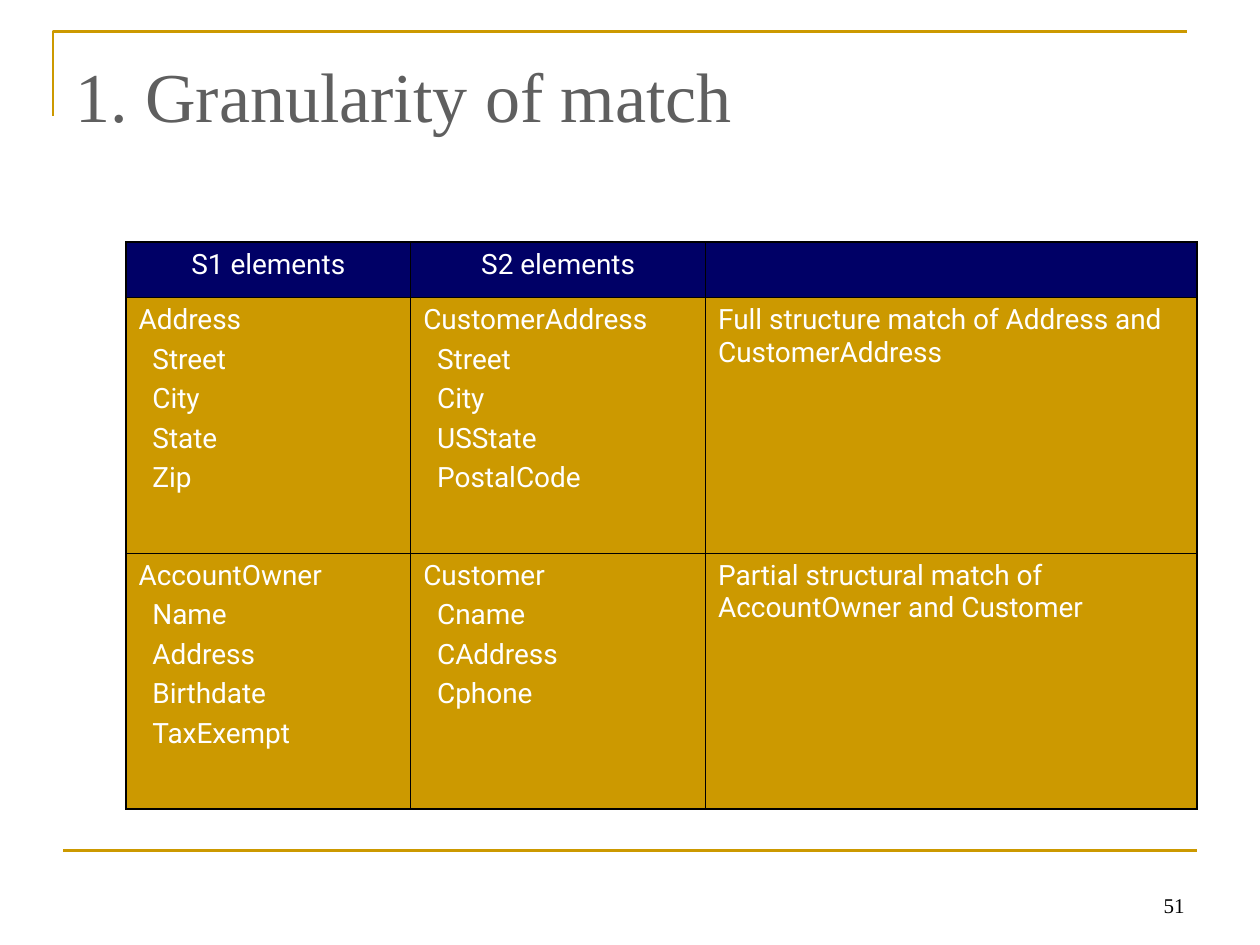
from pptx import Presentation
from pptx import util as u
from pptx.dml.color import RGBColor
from pptx.enum import shapes, text
from pptx.oxml import parse_xml
from pptx.oxml.ns import nsdecls

GOLD = RGBColor(0xCC, 0x99, 0x00)
NAVY = RGBColor(0x00, 0x00, 0x66)
GRAY = RGBColor(0x5F, 0x5F, 0x5F)
WHITE = RGBColor(0xFF, 0xFF, 0xFF)
BLACK = RGBColor(0x00, 0x00, 0x00)
SERIF, SANS = "Times New Roman", "Roboto"
THIN, THICK = 0.45, 1.08
WIDTHS = (2.26, 2.34, 3.9)
HEIGHTS = (0.44, 2.03, 2.03)
ROWS = (
    (("S1 elements",), ("S2 elements",), ()),
    (("Address", "Street", "City", "State", "Zip"),
     ("CustomerAddress", "Street", "City", "USState", "PostalCode"),
     ("Full structure match of Address and CustomerAddress",)),
    (("AccountOwner", "Name", "Address", "Birthdate", "TaxExempt"),
     ("Customer", "Cname", "CAddress", "Cphone"),
     ("Partial structural match of AccountOwner and Customer",)),
)


def add_run(para, words, size, face, color):
    """Add one formatted run to a paragraph."""
    run = para.add_run()
    run.text = words
    run.font.size = u.Pt(size)
    run.font.name = face
    run.font.color.rgb = color


def add_frame(slide, left, top, width, height):
    """Draw the open corner at the top and the rule at the foot."""
    x, y = u.Inches(left), u.Inches(top)
    pen = slide.shapes.build_freeform(x, y + u.Inches(0.67))
    pen.add_line_segments([(x, y), (x + u.Inches(width), y)], close=False)
    corner = pen.convert_to_shape()
    corner.shadow.inherit = False
    corner.fill.background()
    start, foot = x + u.Inches(0.08), y + u.Inches(height)
    rule = slide.shapes.add_connector(
        shapes.MSO_CONNECTOR.STRAIGHT, start, foot, start + u.Inches(width), foot)
    rule._element.spPr.append(parse_xml(f"<a:effectLst {nsdecls('a')}/>"))
    for part in (corner, rule):
        part.line.color.rgb = GOLD
        part.line.width = u.Pt(1.5)


def add_title(slide, left, top, width, height):
    """Place and fill the title."""
    title = slide.shapes.title
    title.left, title.top = u.Inches(left), u.Inches(top)
    title.width, title.height = u.Inches(width), u.Inches(height)
    frame = title.text_frame
    frame.auto_size = text.MSO_AUTO_SIZE.NONE
    frame.vertical_anchor = text.MSO_ANCHOR.TOP
    frame.margin_top = u.Inches(0.12)
    para = frame.paragraphs[0]
    para.alignment = text.PP_ALIGN.LEFT
    add_run(para, "1. Granularity of match", 40, SERIF, GRAY)


def add_edges(cell, row, col):
    """Draw cell borders, thick on the outside of the table."""
    outer = {"L": col == 0, "R": col == len(WIDTHS) - 1,
             "T": row == 0, "B": row == len(HEIGHTS) - 1}
    props = cell._tc.get_or_add_tcPr()
    for spot, (side, edge) in enumerate(outer.items()):
        width = u.Pt(THICK if edge else THIN)
        props.insert(spot, parse_xml(
            f'<a:ln{side} {nsdecls("a")} w="{width}"><a:solidFill>'
            f'<a:srgbClr val="{BLACK}"/></a:solidFill></a:ln{side}>'))


def fill_cell(cell, lines, head):
    """Write a heading or an element with its indented children."""
    cell.fill.solid()
    cell.fill.fore_color.rgb = NAVY if head else GOLD
    for num, line in enumerate(lines):
        frame = cell.text_frame
        para = frame.add_paragraph() if num else frame.paragraphs[0]
        para.alignment = text.PP_ALIGN.CENTER if head else text.PP_ALIGN.LEFT
        if num:
            para.space_before = u.Pt(4)
            para._p.get_or_add_pPr().set("marL", str(u.Inches(0.11)))
        add_run(para, line, 16, SANS, WHITE)


def add_grid(slide, left, top, width, height):
    """Build the table of matched elements."""
    grid = slide.shapes.add_table(
        len(HEIGHTS), len(WIDTHS), u.Inches(left), u.Inches(top),
        u.Inches(width), u.Inches(height)).table
    grid.first_row = grid.horz_banding = False
    for col, size in zip(grid.columns, WIDTHS):
        col.width = u.Inches(size)
    for row, size in zip(grid.rows, HEIGHTS):
        row.height = u.Inches(size)
    for row, cells in enumerate(ROWS):
        for col, lines in enumerate(cells):
            cell = grid.cell(row, col)
            fill_cell(cell, lines, row == 0)
            add_edges(cell, row, col)


def add_number(slide, left, top, width, height):
    """Write the page number."""
    box = slide.shapes.add_textbox(
        u.Inches(left), u.Inches(top), u.Inches(width), u.Inches(height))
    frame = box.text_frame
    frame.word_wrap = True
    frame.vertical_anchor = text.MSO_ANCHOR.BOTTOM
    para = frame.paragraphs[0]
    para.alignment = text.PP_ALIGN.RIGHT
    add_run(para, "51", 12, SERIF, BLACK)


def main():
    """Build and save the slide."""
    deck = Presentation()
    deck.slide_width, deck.slide_height = u.Inches(10), u.Inches(7.5)
    slide = deck.slides.add_slide(deck.slide_layouts[5])
    add_frame(slide, 0.42, 0.25, 9, 6.5)
    add_title(slide, 0.5, 0.3, 9, 1.25)
    add_grid(slide, 1, 1.92, 8.5, 4.5)
    add_number(slide, 7.17, 6.83, 2.33, 0.5)
    deck.save("out.pptx")


if __name__ == "__main__":
    main()
